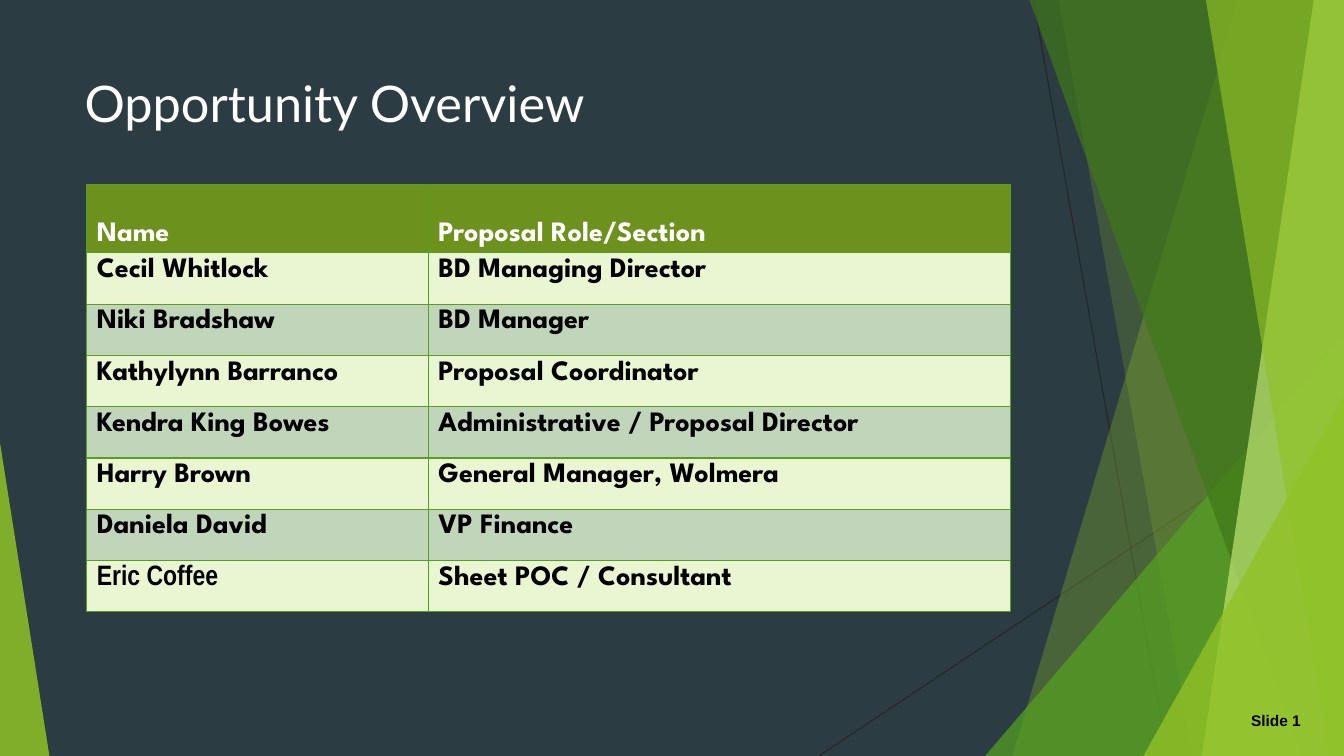
import dataclasses

import pptx
import pptx.dml.color
import pptx.enum.shapes
import pptx.enum.text
import pptx.oxml
import pptx.oxml.ns
import pptx.util

RGB = pptx.dml.color.RGBColor
NIGHT = RGB(0x2C, 0x3C, 0x43)
WHITE = RGB(0xFF, 0xFF, 0xFF)
BLACK = RGB(0, 0, 0)
HAIRLINE = RGB(0x26, 0x26, 0x26)
LIME = RGB(0x90, 0xC2, 0x26)
GREEN = RGB(0x54, 0xA0, 0x21)
FOREST = RGB(0x3F, 0x78, 0x19)
PALE_LIME = RGB(0xC0, 0xE4, 0x74)
HEADER = RGB(0x6C, 0x92, 0x1D)
LIGHT_ROW = RGB(0xEA, 0xF6, 0xD1)
SAGE_ROW = RGB(0xC1, 0xD5, 0xBB)

HEADINGS = ("Name", "Proposal Role/Section")
TEAM = [
    ("Cecil Whitlock", "BD Managing Director"),
    ("Niki Bradshaw", "BD Manager"),
    ("Kathylynn Barranco", "Proposal Coordinator"),
    ("Kendra King Bowes", "Administrative / Proposal Director"),
    ("Harry Brown", "General Manager, Wolmera"),
    ("Daniela David", "VP Finance"),
    ("Eric Coffee", "Sheet POC / Consultant"),
]
NARROW_NAME = "Eric Coffee"

# Bands reach the right edge: top and bottom of the slanted side, in % of the box
BACK_BANDS = [(79.85, 36.85, LIME, 30), (45.68, 71.21, LIME, 20)]
FRONT_BANDS = [(40.12, 91.94, FOREST, 70), (94.24, 72.94, PALE_LIME, 70),
               (73.7, 97.12, LIME, 65)]


@dataclasses.dataclass
class Box:
    left: float
    top: float
    width: float
    height: float

    def inner(self, left, top, width, height):
        """Box inside this one, given in % of its size."""
        return Box(self.left + self.width * left / 100,
                   self.top + self.height * top / 100,
                   self.width * width / 100, self.height * height / 100)

    def point(self, x, y):
        spot = self.inner(x, y, 0, 0)
        return int(spot.left), int(spot.top)

    def frame(self):
        return int(self.left), int(self.top), int(self.width), int(self.height)


def write(text_frame, text, *, size, font, color, bold=False):
    paragraph = text_frame.paragraphs[0]
    paragraph.alignment = pptx.enum.text.PP_ALIGN.LEFT
    run = paragraph.add_run()
    run.text = text
    run.font.size = pptx.util.Pt(size)
    run.font.name = font
    run.font.bold = bold
    run.font.color.rgb = color


def paint(shape, color, opacity):
    shape.shadow.inherit = False
    shape.line.fill.background()
    shape.fill.solid()
    shape.fill.fore_color.rgb = color
    solid_fill = shape._element.spPr.find(pptx.oxml.ns.qn("a:solidFill"))
    solid_fill[0].append(pptx.oxml.parse_xml(
        f'<a:alpha {pptx.oxml.ns.nsdecls("a")} val="{opacity * 1000}"/>'))


def add_hairline(slide, start, end):
    hairline = slide.shapes.add_connector(
        pptx.enum.shapes.MSO_CONNECTOR.STRAIGHT, *start, *end)
    hairline.line.color.rgb = HAIRLINE
    hairline.line.width = pptx.util.Pt(0.75)
    hairline._element.spPr.append(
        pptx.oxml.parse_xml(f'<a:effectLst {pptx.oxml.ns.nsdecls("a")}/>'))


def add_bands(slide, box, bands):
    for top, bottom, color, opacity in bands:
        builder = slide.shapes.build_freeform(*box.point(top, 0), scale=1.0)
        builder.add_line_segments(
            [box.point(100, 0), box.point(100, 100), box.point(bottom, 100)], close=True)
        paint(builder.convert_to_shape(), color, opacity)


def add_wedge(slide, box, apex, color, opacity):
    wedge = slide.shapes.add_shape(
        pptx.enum.shapes.MSO_SHAPE.ISOSCELES_TRIANGLE, *box.frame())
    wedge.adjustments[0] = apex
    paint(wedge, color, opacity)


def add_facets(slide, box):
    add_hairline(slide, box.point(40.88, 0), box.point(66.41, 100))
    add_hairline(slide, box.point(100, 53.73), box.point(0, 100))
    add_bands(slide, box, BACK_BANDS)
    add_wedge(slide, box.inner(31.67, 44.4, 68.33, 55.6), 1, GREEN, 72)
    add_bands(slide, box, FRONT_BANDS)
    add_wedge(slide, box.inner(61.8, 52.4, 38.2, 47.6), 1, LIME, 80)


def add_title(slide, box):
    title = slide.shapes.title
    title.left, title.top, title.width, title.height = box.frame()
    title.text_frame.vertical_anchor = pptx.enum.text.MSO_ANCHOR.TOP
    title.text_frame.word_wrap = True
    write(title.text_frame, "Opportunity Overview", size=36, font="Lato", color=WHITE)


def format_cell(cell, fill):
    cell.fill.solid()
    cell.fill.fore_color.rgb = fill
    properties = cell._tc.get_or_add_tcPr()
    # Borders come before the fill in the cell properties
    for place, side in enumerate(("lnL", "lnR", "lnT", "lnB")):
        properties.insert(place, pptx.oxml.parse_xml(
            f'<a:{side} {pptx.oxml.ns.nsdecls("a")} w="12700"><a:solidFill>'
            f'<a:srgbClr val="{GREEN}"/></a:solidFill></a:{side}>'))


def add_team_table(slide, box):
    rows = [HEADINGS, *TEAM]
    table = slide.shapes.add_table(len(rows), len(HEADINGS), *box.frame()).table
    for column, share in zip(table.columns, (0.37, 0.63)):
        column.width = int(box.width * share)
    header_height = box.height * 0.16
    for number, texts in enumerate(rows):
        is_header = number == 0
        table.rows[number].height = int(
            header_height if is_header else (box.height - header_height) / len(TEAM))
        fill = HEADER if is_header else LIGHT_ROW if number % 2 else SAGE_ROW
        for cell, text in zip(table.rows[number].cells, texts):
            format_cell(cell, fill)
            if is_header:
                cell.vertical_anchor = pptx.enum.text.MSO_ANCHOR.BOTTOM
            write(cell.text_frame, text, size=20, bold=True,
                  font="Arial Narrow" if text == NARROW_NAME else "League Spartan",
                  color=WHITE if is_header else BLACK)


def add_slide_label(slide, box):
    label = slide.shapes.add_textbox(*box.frame())
    label.text_frame.word_wrap = False
    label.text_frame.auto_size = pptx.enum.text.MSO_AUTO_SIZE.SHAPE_TO_FIT_TEXT
    write(label.text_frame, "Slide 1", size=11, font="Arial", color=BLACK, bold=True)


def main():
    deck = pptx.Presentation()
    deck.slide_width = pptx.util.Inches(13.33)
    deck.slide_height = pptx.util.Inches(7.5)
    page = Box(0, 0, deck.slide_width, deck.slide_height)
    slide = deck.slides.add_slide(deck.slide_layouts[5])
    slide.background.fill.solid()
    slide.background.fill.fore_color.rgb = NIGHT

    # Decoration on the right and in the left corner
    add_facets(slide, page.inner(60.92, 0, 39.08, 100))
    add_wedge(slide, page.inner(0, 58.53, 3.68, 41.47), 0, LIME, 85)

    # Content
    add_title(slide, page.inner(5.55, 8.93, 70.52, 19.2))
    add_team_table(slide, page.inner(6.45, 24.4, 68.72, 56.53))
    add_slide_label(slide, page.inner(92.35, 93.47, 5.25, 3.87))
    deck.save("out.pptx")


if __name__ == "__main__":
    main()
